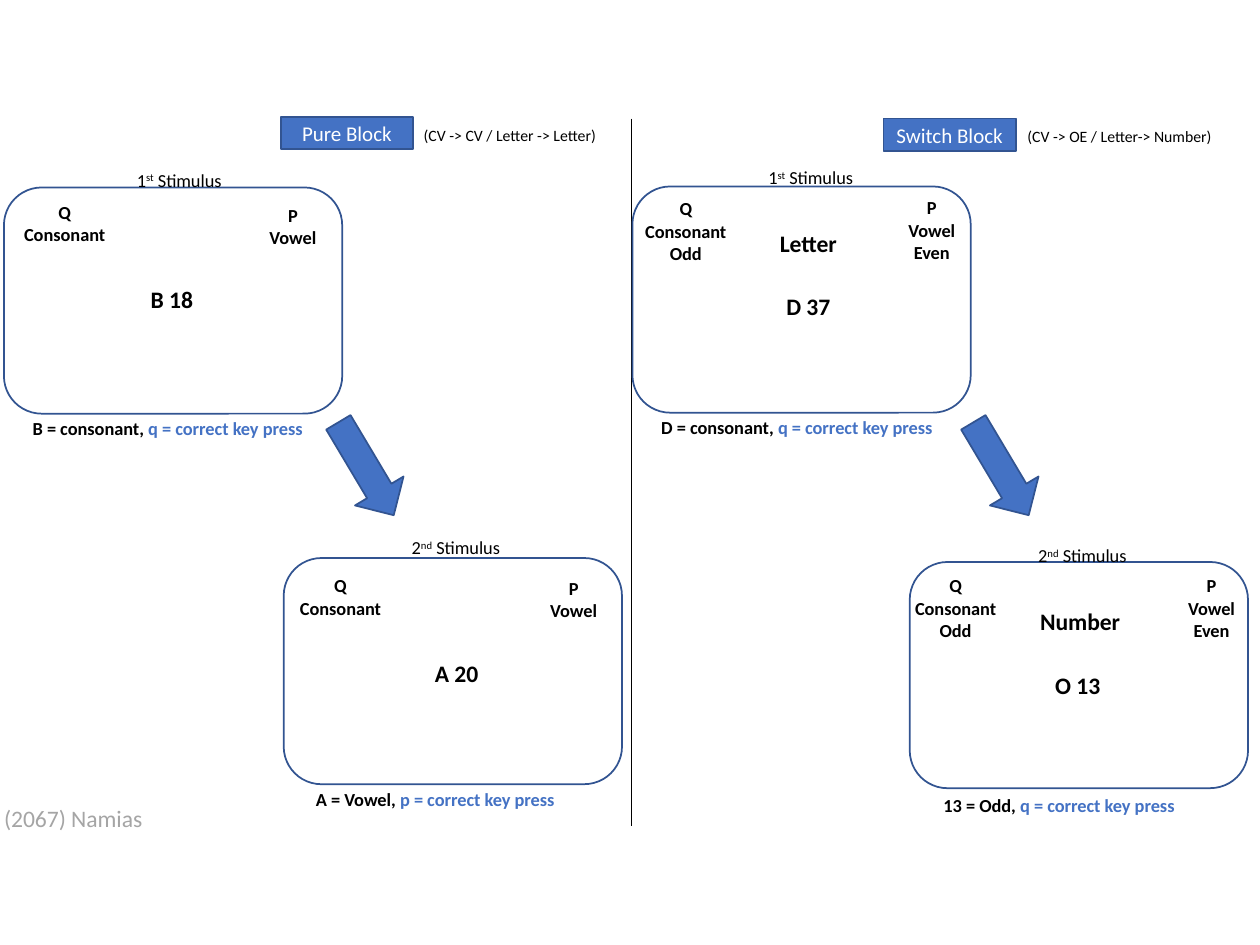
from dataclasses import dataclass

from lxml import etree
from pptx import Presentation
from pptx.dml.color import RGBColor
from pptx.enum.shapes import MSO_CONNECTOR, MSO_SHAPE
from pptx.enum.text import MSO_ANCHOR, MSO_AUTO_SIZE, PP_ALIGN
from pptx.oxml.ns import qn
from pptx.util import Cm, Pt

ROUNDED = MSO_SHAPE.ROUNDED_RECTANGLE
RECTANGLE = MSO_SHAPE.RECTANGLE
DOWN_ARROW = MSO_SHAPE.DOWN_ARROW
STRAIGHT = MSO_CONNECTOR.STRAIGHT
LEFT, CENTER, RIGHT = PP_ALIGN.LEFT, PP_ALIGN.CENTER, PP_ALIGN.RIGHT
MIDDLE = MSO_ANCHOR.MIDDLE
GROW = MSO_AUTO_SIZE.SHAPE_TO_FIT_TEXT


@dataclass(frozen=True)
class Theme:
    font: str = "Calibri"
    white: str = "FFFFFF"
    black: str = "000000"
    blue: str = "4472C4"
    outline: str = "325491"
    gray: str = "A5A5A5"
    note: float = 9
    label: float = 10.5
    button: float = 12
    stimulus: float = 13.5


@dataclass(frozen=True)
class Screen:
    frame: tuple
    ordinal: tuple
    ordinal_at: tuple
    stimulus: str
    stimulus_at: tuple
    q_lines: tuple
    q_at: tuple
    p_lines: tuple
    p_at: tuple
    answer: str
    key: str
    answer_at: tuple
    cue: str = ""
    cue_at: tuple = ()


THEME = Theme()
FRAME_SIZE = (6.82, 4.56)
ARROW_SIZE = (1.14, 2.18)
BUTTON_SIZE = (2.67, 0.65)
TEXT_WIDTH = 5.51
LINE_HEIGHT = 0.45

SCREENS = (
    Screen((0.08, 3.78), ("1", "st"), (2.51, 3.28), "B 18", (0.71, 5.61),
           ("Q", "Consonant"), (-1.45, 3.94), ("P", "Vowel"), (3.15, 3.99),
           "B = consonant, ", "q", (0.41, 8.28)),
    Screen((12.75, 3.76), ("1", "st"), (15.24, 3.23), "D 37", (13.54, 5.77),
           ("Q", "Consonant", "Odd"), (11.07, 3.86),
           ("P", "Vowel", "Even"), (16.03, 3.84),
           "D = consonant, ", "q", (13.08, 8.26), "Letter", (13.54, 4.5)),
    Screen((5.72, 11.25), ("2", "nd"), (8.05, 10.69), "A 20", (6.45, 13.16),
           ("Q", "Consonant"), (4.11, 11.46), ("P", "Vowel"), (8.81, 11.51),
           "A = Vowel, ", "p", (6.12, 15.77)),
    Screen((18.34, 11.33), ("2", "nd"), (20.68, 10.85), "O 13", (18.97, 13.41),
           ("Q", "Consonant", "Odd"), (16.51, 11.46),
           ("P", "Vowel", "Even"), (21.67, 11.46),
           "13 = Odd, ", "q", (18.77, 15.88), "Number", (19.02, 12.12)),
)
BLOCKS = (
    ("Pure Block", (5.66, 2.36), "(CV -> CV / Letter -> Letter)", (7.52, 2.41)),
    ("Switch Block", (17.81, 2.39), "(CV -> OE / Letter-> Number)", (19.81, 2.44)),
)
ARROWS = ((6.81, 8.36), (19.61, 8.36))


def add_span(para, text, size, color=THEME.black, bold=False):
    span = para.add_run()
    span.text = text
    span.font.name = THEME.font
    span.font.size = Pt(size)
    span.font.bold = bold
    span.font.color.rgb = RGBColor.from_string(color)
    return span


def add_box(page, at, size, align=CENTER):
    box = page.shapes.add_textbox(*map(Cm, at + size))
    box.text_frame.word_wrap = True
    box.text_frame.auto_size = GROW
    box.text_frame.paragraphs[0].alignment = align
    return box


def add_text(page, at, text, size, bold=False):
    box = add_box(page, at, (TEXT_WIDTH, 0.84 if bold else 0.64))
    add_span(box.text_frame.paragraphs[0], text, size, bold=bold)


def add_key_label(page, at, lines):
    box = add_box(page, at, (TEXT_WIDTH, 0.25 + LINE_HEIGHT * len(lines)))
    frame = box.text_frame
    for index, line in enumerate(lines):
        para = frame.add_paragraph() if index else frame.paragraphs[0]
        para.alignment = CENTER
        add_span(para, line, THEME.label, bold=True)


def add_ordinal(page, at, number, suffix):
    box = add_box(page, at, (2.67, 0.71), LEFT)
    para = box.text_frame.paragraphs[0]
    add_span(para, number, THEME.label)
    raised = add_span(para, suffix, THEME.label)
    raised._r.get_or_add_rPr().set("baseline", "30000")
    add_span(para, " Stimulus", THEME.label)


def add_answer(page, at, answer, key):
    box = add_box(page, at, (6.12, 0.71), LEFT)
    para = box.text_frame.paragraphs[0]
    add_span(para, answer, THEME.label, bold=True)
    add_span(para, f"{key} = correct key press", THEME.label, THEME.blue, True)


def add_outlined(page, kind, at, size, fill):
    shape = page.shapes.add_shape(kind, *map(Cm, at + size))
    shape.shadow.inherit = False
    shape.fill.solid()
    shape.fill.fore_color.rgb = RGBColor.from_string(fill)
    shape.line.color.rgb = RGBColor.from_string(THEME.outline)
    shape.line.width = Pt(1)
    return shape


def add_screen(page, screen):
    add_outlined(page, ROUNDED, screen.frame, FRAME_SIZE, THEME.white)
    add_text(page, screen.stimulus_at, screen.stimulus, THEME.stimulus, True)
    add_key_label(page, screen.q_at, screen.q_lines)
    add_key_label(page, screen.p_at, screen.p_lines)
    add_ordinal(page, screen.ordinal_at, *screen.ordinal)
    add_answer(page, screen.answer_at, screen.answer, screen.key)
    if screen.cue:
        add_text(page, screen.cue_at, screen.cue, THEME.stimulus, True)


def add_block_heading(page, name, name_at, note, note_at):
    button = add_outlined(page, RECTANGLE, name_at, BUTTON_SIZE, THEME.blue)
    frame = button.text_frame
    frame.word_wrap = False
    frame.vertical_anchor = MIDDLE
    frame.paragraphs[0].alignment = CENTER
    add_span(frame.paragraphs[0], name, THEME.button, THEME.white)
    add_text(page, note_at, note, THEME.note)


def add_divider(page, x, top, bottom):
    divider = page.shapes.add_connector(STRAIGHT, Cm(x), Cm(top), Cm(x), Cm(bottom))
    divider.line.color.rgb = RGBColor.from_string(THEME.black)
    divider.line.width = Pt(0.5)
    etree.SubElement(divider._element.spPr, qn("a:effectLst"))


def add_citation(page, at, text):
    box = add_box(page, at, (5.28, 0.84), RIGHT)
    add_span(box.text_frame.paragraphs[0], text, THEME.stimulus, THEME.gray)


def main():
    deck = Presentation()
    deck.slide_width, deck.slide_height = Cm(25.4), Cm(19.05)
    page = deck.slides.add_slide(deck.slide_layouts[6])
    add_divider(page, 12.73, 2.39, 16.66)
    for screen in SCREENS:
        add_screen(page, screen)
    for block in BLOCKS:
        add_block_heading(page, *block)
    for at in ARROWS:
        arrow = add_outlined(page, DOWN_ARROW, at, ARROW_SIZE, THEME.blue)
        arrow.rotation = 329.2
    add_citation(page, (-2.16, 16.08), "(2067) Namias")
    deck.save("out.pptx")


if __name__ == "__main__":
    main()
